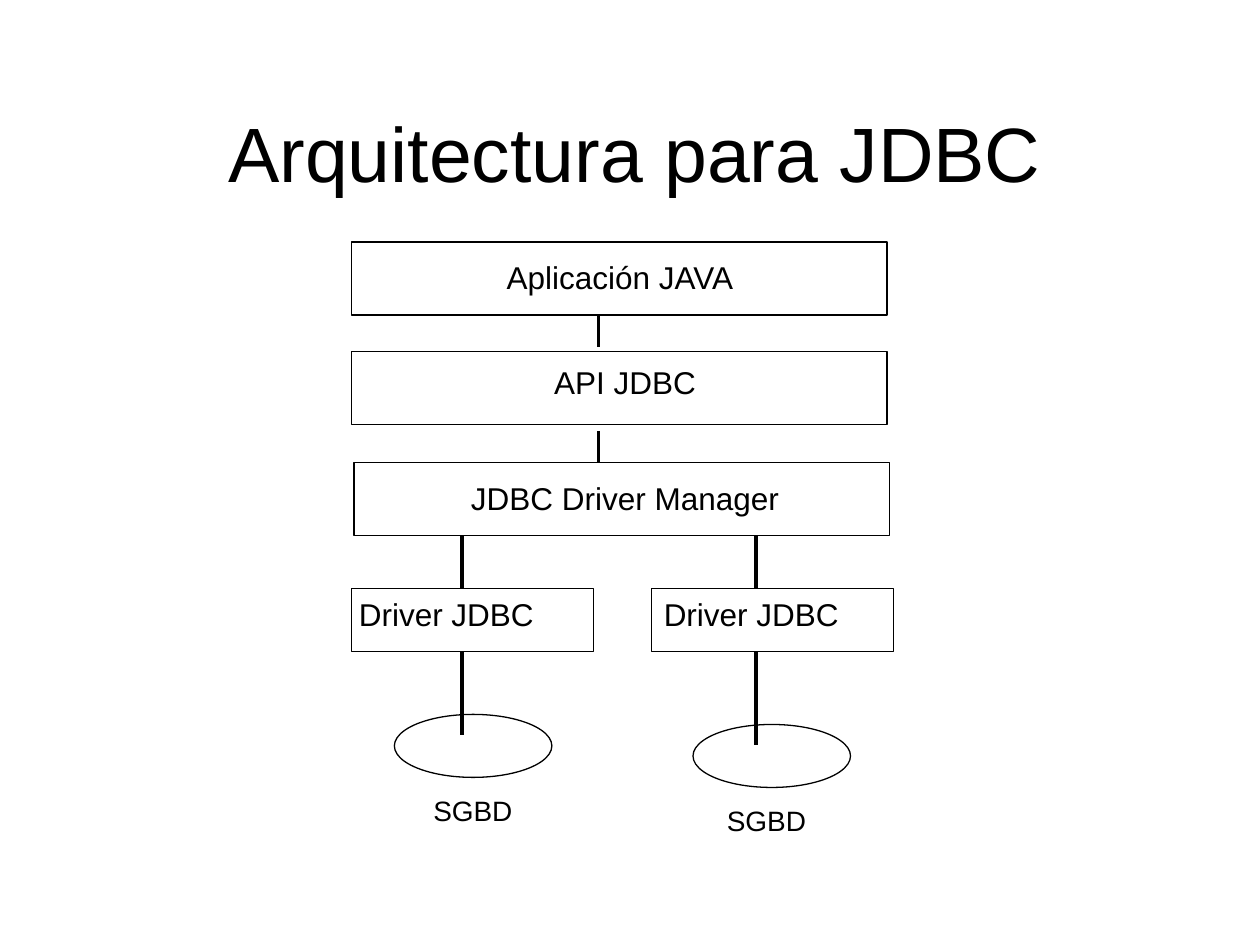
import pptx
import pptx.dml.color
import pptx.enum.shapes
import pptx.enum.text
import pptx.util
from pptx.util import Inches

BLACK = pptx.dml.color.RGBColor(0, 0, 0)
WHITE = pptx.dml.color.RGBColor(255, 255, 255)
SHAPES = pptx.enum.shapes.MSO_SHAPE
ALIGN = pptx.enum.text.PP_ALIGN
FIT = pptx.enum.text.MSO_AUTO_SIZE


def write(frame, text, size, align):
    frame.word_wrap = True
    para = frame.paragraphs[0]
    para.text = text
    para.alignment = align
    for name, value in {"name": "Arial", "size": pptx.util.Pt(size)}.items():
        setattr(para.font, name, value)
    para.font.color.rgb = BLACK


def add_outline(page, kind, box, fill=None):
    shape = page.shapes.add_shape(kind, *map(Inches, box))
    shape.shadow.inherit = False
    if fill is None:
        shape.fill.background()
    else:
        shape.fill.solid()
        shape.fill.fore_color.rgb = fill
    shape.line.color.rgb = BLACK
    shape.line.width = pptx.util.Pt(0.75)


def add_label(page, text, box, size=18, align=ALIGN.LEFT):
    label = page.shapes.add_textbox(*map(Inches, box))
    write(label.text_frame, text, size, align)
    label.text_frame.auto_size = FIT.SHAPE_TO_FIT_TEXT


def add_link(page, x, top, bottom):
    """Draw a thick vertical line."""
    link = page.shapes.add_connector(
        pptx.enum.shapes.MSO_CONNECTOR.STRAIGHT,
        Inches(x), Inches(top), Inches(x), Inches(bottom))
    link.line.color.rgb = BLACK
    link.line.width = pptx.util.Pt(2.25)
    effects = pptx.oxml.parse_xml(
        '<a:effectLst xmlns:a="http://schemas.openxmlformats.org/drawingml/2006/main"/>')
    link._element.spPr.append(effects)


def add_title(page, text, box):
    title = page.shapes.title
    for name, value in zip(("left", "top", "width", "height"), box):
        setattr(title, name, Inches(value))
    write(title.text_frame, text, 44, ALIGN.CENTER)
    title.text_frame.auto_size = FIT.NONE
    title.text_frame.vertical_anchor = pptx.enum.text.MSO_ANCHOR.MIDDLE


def add_layer(page, text, box, label_box):
    """Draw a wide layer of the architecture with its centred name."""
    add_outline(page, SHAPES.RECTANGLE, box)
    add_label(page, text, label_box, align=ALIGN.CENTER)


def add_driver(page, box, label_left, link_x, database_box):
    """Draw a driver, its database below, and the links through them."""
    left, top, width, height = box
    database_left, database_top, database_width, database_height = database_box
    add_outline(page, SHAPES.RECTANGLE, box)
    add_outline(page, SHAPES.OVAL, database_box, WHITE)
    add_label(page, "Driver JDBC", (label_left, top, 2, 0.4))
    add_link(page, link_x, top - 0.42, top)
    add_link(page, link_x, top + height, database_top + 0.16)
    add_label(page, "SGBD", (link_x - 0.33, database_top + database_height + 0.08,
                             0.92, 0.37), size=16)


def main():
    deck = pptx.Presentation()
    deck.slide_width, deck.slide_height = Inches(10), Inches(7.5)
    page = deck.slides.add_slide(deck.slide_layouts[5])
    add_title(page, "Arquitectura para JDBC", (0.5, 0.58, 9.08, 1.25))

    layers = [
        ("Aplicación JAVA", 2.79, 1.92, 2, 4),
        ("API JDBC", 2.79, 2.79, 2.83, 4.08),
        ("JDBC Driver Manager", 2.81, 3.67, 3.75, 4.08),
    ]
    for text, left, top, label_top, label_width in layers:
        add_layer(page, text, (left, top, 4.25, 0.58),
                  (2.92, label_top, label_width, 0.4))
    for top in (2.5, 3.42):
        add_link(page, 4.75, top, top + 0.25)

    add_driver(page, (2.79, 4.67, 1.92, 0.5), 2.75, 3.67, (3.13, 5.67, 1.25, 0.5))
    add_driver(page, (5.17, 4.67, 1.92, 0.5), 5.17, 6, (5.5, 5.75, 1.25, 0.5))
    deck.save("out.pptx")


if __name__ == "__main__":
    main()
